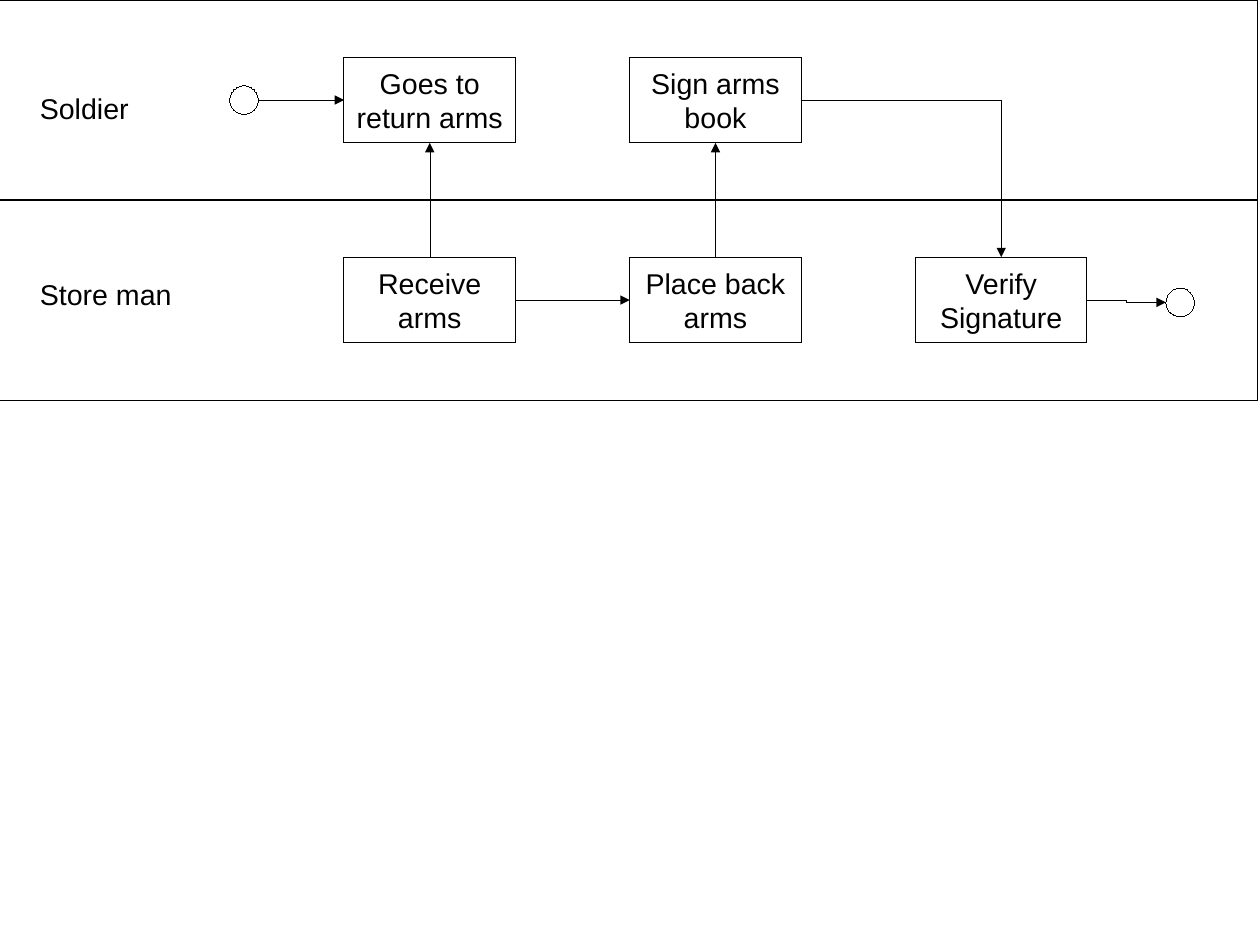
from lxml.etree import SubElement
from pptx import Presentation
from pptx.dml.color import RGBColor
from pptx.enum.shapes import MSO_CONNECTOR as CONN, MSO_SHAPE as SHAPE
from pptx.enum.text import MSO_ANCHOR as ANCHOR, MSO_AUTO_SIZE as AUTO, PP_ALIGN as ALIGN
from pptx.oxml.ns import qn
from pptx.util import Inches, Pt

BLACK, WHITE = "000000", "FFFFFF"
CM_PER_INCH = 2.54
LANE_W, LANE_H = 11, 1.75
BOX_W, BOX_H = 1.5, 0.75
FIRST_COL, COL_STEP = 3.01, 2.5
BOX_TOP = 0.5
DOT = 0.25
SITES = {"top": (0, 0.5, 0), "left": (1, 0, 0.5), "bottom": (2, 0.5, 1), "right": (3, 1, 0.5)}


def color(value):
    return RGBColor.from_string(value)


def outline(sp):
    sp.line.color.rgb = color(BLACK)
    sp._element.spPr.find(qn("a:ln")).set("w", "0")


def write(tf, text, align):
    p = tf.paragraphs[0]
    p.alignment = align
    r = p.add_run()
    r.text = text
    r.font.name = "Arial"
    r.font.size = Pt(18)
    r.font.color.rgb = color(BLACK)


def add_block(s, kind, x, y, w, h):
    sp = s.shapes.add_shape(kind, Inches(x), Inches(y), Inches(w), Inches(h))
    sp.shadow.inherit = False
    sp.fill.solid()
    sp.fill.fore_color.rgb = color(WHITE)
    outline(sp)
    return sp


def add_lane(s, x, y, w, h):
    add_block(s, SHAPE.RECTANGLE, x, y, w, h)


def add_label(s, x, y, w, text):
    sp = s.shapes.add_textbox(Inches(x), Inches(y), Inches(w), Inches(0.38))
    tf = sp.text_frame
    tf.word_wrap = False
    tf.auto_size = AUTO.SHAPE_TO_FIT_TEXT
    write(tf, text, ALIGN.LEFT)


def add_step(s, x, lane_y, col, text):
    sp = add_block(s, SHAPE.FLOWCHART_PROCESS, x + FIRST_COL + col * COL_STEP, lane_y + BOX_TOP, BOX_W, BOX_H)
    sp.text_frame.word_wrap = True
    sp.text_frame.vertical_anchor = ANCHOR.MIDDLE
    write(sp.text_frame, text, ALIGN.CENTER)
    return sp


def add_dot(s, x, y):
    return add_block(s, SHAPE.FLOWCHART_CONNECTOR, x, y, DOT, DOT)


def site_point(sp, side):
    _, fx, fy = SITES[side]
    return int(sp.left + fx * sp.width), int(sp.top + fy * sp.height)


def add_arrow(s, source, out_side, target, in_side, kind=CONN.STRAIGHT):
    c = s.shapes.add_connector(kind, *site_point(source, out_side), *site_point(target, in_side))
    if source.text_frame.text:
        c.begin_connect(source, SITES[out_side][0])
    if target.text_frame.text:
        c.end_connect(target, SITES[in_side][0])
    outline(c)
    props = c._element.spPr
    SubElement(props.find(qn("a:ln")), qn("a:tailEnd"), type="triangle")
    SubElement(props, qn("a:effectLst"))
    if kind == CONN.ELBOW and in_side == "top":
        props.find(qn("a:prstGeom")).set("prst", "bentConnector2")


def add_swimlanes(s, x, y):
    store_y = y + LANE_H
    add_lane(s, x, store_y, LANE_W, LANE_H)
    add_lane(s, x, y, LANE_W, LANE_H)

    start = add_dot(s, x + 2.01, y + 0.75)
    go = add_step(s, x, y, 0, "Goes to return arms")
    receive = add_step(s, x, store_y, 0, "Receive arms")
    place = add_step(s, x, store_y, 1, "Place back arms")
    sign = add_step(s, x, y, 1, "Sign arms book")
    verify = add_step(s, x, store_y, 2, "Verify Signature")
    end = add_dot(s, x + 10.2, store_y + 0.77)

    add_arrow(s, start, "right", go, "left")
    add_arrow(s, receive, "top", go, "bottom")
    add_arrow(s, receive, "right", place, "left")
    add_arrow(s, place, "top", sign, "bottom")
    add_arrow(s, sign, "right", verify, "top", CONN.ELBOW)
    add_arrow(s, verify, "right", end, "left", CONN.ELBOW)

    add_label(s, x + 0.25, y + 0.75, 0.98, "Soldier")
    add_label(s, x + 0.25, store_y + 0.62, 1.35, "Store man")


def main():
    prs = Presentation()
    prs.slide_width = Inches(28 / CM_PER_INCH)
    prs.slide_height = Inches(21 / CM_PER_INCH)
    s = prs.slides.add_slide(prs.slide_layouts[6])
    add_swimlanes(s, 0, 0)
    prs.save("out.pptx")


if __name__ == "__main__":
    main()
